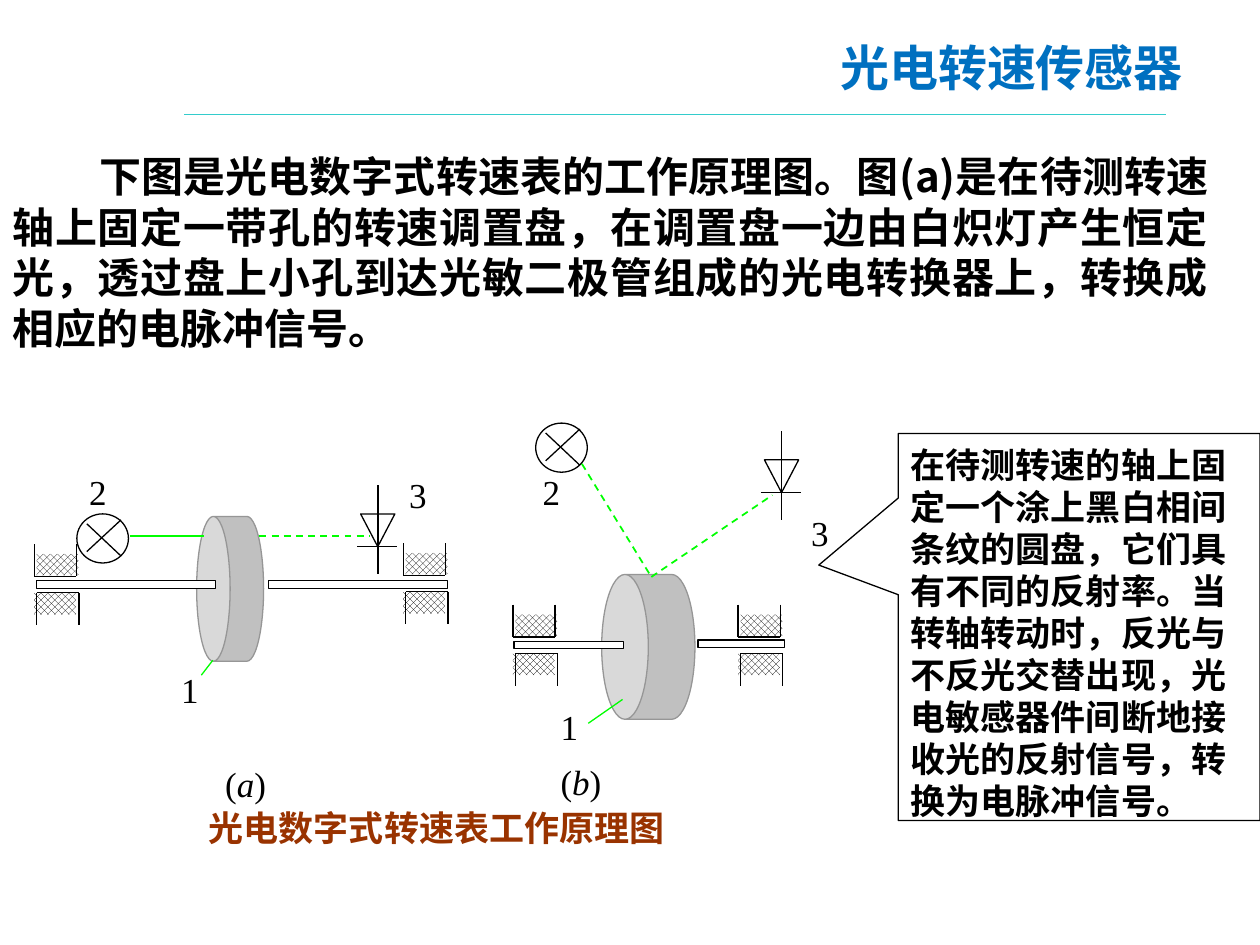
from dataclasses import dataclass

import pptx
import pptx.dml.color
import pptx.enum.dml
import pptx.enum.shapes
import pptx.enum.text
import pptx.oxml.ns
import pptx.oxml.xmlchemy
import pptx.util

Cm, Pt = pptx.util.Cm, pptx.util.Pt
RGBColor = pptx.dml.color.RGBColor
Shape = pptx.enum.shapes.MSO_SHAPE
Align = pptx.enum.text.PP_ALIGN
OxmlElement = pptx.oxml.xmlchemy.OxmlElement
qn = pptx.oxml.ns.qn

BLACK = RGBColor(0x00, 0x00, 0x00)
WHITE = RGBColor(0xFF, 0xFF, 0xFF)
DISC = RGBColor(0xC0, 0xC0, 0xC0)
DISC_EDGE = RGBColor(0x96, 0x96, 0x96)
LIGHT = RGBColor(0x00, 0xFF, 0x00)
RULE = RGBColor(0x33, 0xCC, 0xCC)
TITLE = RGBColor(0x00, 0x70, 0xC0)
CAPTION = RGBColor(0x99, 0x33, 0x00)
SANS, SERIF = "Noto Sans CJK SC", "Times New Roman"


@dataclass(frozen=True)
class Ray:
    x1: float
    y1: float
    x2: float
    y2: float
    width: float = 1
    dashed: bool = False


@dataclass(frozen=True)
class Label:
    text: str
    x: float
    y: float


@dataclass(frozen=True)
class Device:
    disc: tuple[float, float, float]
    shafts: tuple[tuple[float, float, float], ...]
    bearings: tuple[tuple[float, float], ...]
    lamp: tuple[float, float]
    diode: tuple[float, float]
    rays: tuple[Ray, ...]
    labels: tuple[Label, ...]


DEVICES = (
    Device(
        disc=(4.64, 11.87, 1.35),
        shafts=((0.74, 11.71, 3.61), (5.41, 11.71, 3.61)),
        bearings=((0.69, 10.97), (8.13, 10.95)),
        lamp=(1.55, 10.36),
        diode=(7.62, 9.78),
        rays=(Ray(2.62, 10.8, 4.11, 10.8), Ray(5.23, 10.8, 7.44, 10.8, dashed=True),
              Ray(4.06, 13.61, 4.29, 13.31, 0.75)),
        labels=(Label("2", 1.55, 9.37), Label("3", 8, 9.42),
                Label("1", 3.4, 13.36), Label("(a)", 4.29, 15.24)),
    ),
    Device(
        disc=(13.07, 13.04, 1.88),
        shafts=((10.36, 12.93, 2.21), (14.07, 12.9, 1.75)),
        bearings=((10.34, 12.19), (14.88, 12.19)),
        lamp=(10.8, 8.53),
        diode=(15.76, 8.69),
        rays=(Ray(11.73, 9.35, 13.13, 11.63, dashed=True),
              Ray(13.13, 11.63, 15.57, 9.98, dashed=True),
              Ray(11.86, 14.58, 12.55, 14.1, 0.75)),
        labels=(Label("2", 10.69, 9.37), Label("3", 16.1, 10.19),
                Label("1", 11.05, 14.1), Label("(b)", 11.05, 15.21)),
    ),
)


def add_line(s, x1: float, y1: float, x2: float, y2: float,
             color=BLACK, width: float = 0.75, dashed: bool = False) -> None:
    sp = s.shapes.add_connector(pptx.enum.shapes.MSO_CONNECTOR.STRAIGHT,
                                Cm(x1), Cm(y1), Cm(x2), Cm(y2))
    sp.line.color.rgb = color
    sp.line.width = Pt(width)
    if dashed:
        sp.line.dash_style = pptx.enum.dml.MSO_LINE.DASH
    sp._element.spPr.append(OxmlElement("a:effectLst"))


def add_solid(s, kind, x: float, y: float, w: float, h: float,
              fill=WHITE, edge=BLACK, rotation: float = 0):
    sp = s.shapes.add_shape(kind, Cm(x), Cm(y), Cm(w), Cm(h))
    sp.shadow.inherit = False
    sp.rotation = rotation
    sp.fill.solid()
    sp.fill.fore_color.rgb = fill
    sp.line.color.rgb = edge
    sp.line.width = Pt(0.75)
    return sp


def add_hatch(s, x: float, y: float) -> None:
    sp = add_solid(s, Shape.RECTANGLE, x, y, 0.84, 0.43)
    sp.fill.patterned()
    sp.fill.pattern = pptx.enum.dml.MSO_PATTERN.LARGE_CHECKER_BOARD
    sp.fill.fore_color.rgb = BLACK
    sp.fill.back_color.rgb = WHITE
    sp.line.fill.background()


def add_bearing(s, x: float, y: float) -> None:
    add_hatch(s, x + 0.05, y + 0.2)
    add_hatch(s, x, y + 0.99)
    for left, top, base in ((x, y, y + 0.65), (x + 0.05, y + 0.98, y + 0.98)):
        for wall in (left, left + 0.85):
            add_line(s, wall, top, wall, top + 0.65)
        add_line(s, left, base, left + 0.85, base)


def add_lamp(s, x: float, y: float) -> None:
    add_solid(s, Shape.OVAL, x, y, 1.04, 0.99)
    add_line(s, x + 0.89, y + 0.12, x + 0.2, y + 0.76)
    add_line(s, x + 0.2, y + 0.2, x + 0.89, y + 0.85)


def add_diode(s, x: float, y: float) -> None:
    add_solid(s, Shape.ISOSCELES_TRIANGLE, x - 0.35, y + 0.58, 0.69, 0.66, rotation=180)
    add_line(s, x - 0.42, y + 1.24, x + 0.39, y + 1.24)
    add_line(s, x, y, x, y + 1.8)


def add_run(p, text: str, size: float, font: str, color=BLACK,
            bold: bool = False, italic: bool = False) -> None:
    r = p.add_run()
    r.text = text
    r.font.size = Pt(size)
    r.font.name = font
    r.font.bold = bold
    r.font.italic = italic
    r.font.color.rgb = color
    ea = OxmlElement("a:ea")
    ea.set("typeface", SANS)
    r.font._element.find(qn("a:latin")).addnext(ea)


def add_box(s, x: float, y: float, w: float, h: float):
    tf = s.shapes.add_textbox(Cm(x), Cm(y), Cm(w), Cm(h)).text_frame
    tf.word_wrap = True
    return tf.paragraphs[0]


def add_label(s, label: Label) -> None:
    p = add_box(s, label.x, label.y, 1.63, 1.14)
    p.alignment = Align.JUSTIFY
    for char in label.text:
        add_run(p, char, 20, SERIF, italic=char.isalpha())


def add_device(s, device: Device) -> None:
    cx, cy, depth = device.disc
    can = add_solid(s, Shape.CAN, cx - 1.46, cy - depth / 2, 2.92, depth, DISC, DISC_EDGE, 270)
    can.adjustments[0] = 0.5
    for x, y, length in device.shafts:
        add_solid(s, Shape.RECTANGLE, x, y, length, 0.15)
    for x, y in device.bearings:
        add_bearing(s, x, y)
    add_lamp(s, *device.lamp)
    add_diode(s, *device.diode)
    for ray in device.rays:
        add_line(s, ray.x1, ray.y1, ray.x2, ray.y2, LIGHT, ray.width, ray.dashed)
    for label in device.labels:
        add_label(s, label)


def add_callout(s, text: str) -> None:
    sp = add_solid(s, Shape.RECTANGULAR_CALLOUT, 18.11, 8.74, 7.29, 7.8)
    sp.fill.background()
    sp.adjustments[0], sp.adjustments[1] = -0.72, -0.16
    tf = sp.text_frame
    tf.word_wrap = True
    tf.vertical_anchor = pptx.enum.text.MSO_ANCHOR.TOP
    tf.margin_top, tf.margin_bottom = Cm(0.2), Cm(0)
    p = tf.paragraphs[0]
    p.alignment = Align.LEFT
    p.line_spacing = Pt(24)
    add_run(p, text, 20, SANS, bold=True)


def main() -> None:
    """Build the slide on the photoelectric speed sensor."""
    prs = pptx.Presentation()
    prs.slide_width, prs.slide_height = Cm(25.4), Cm(19.05)
    s = prs.slides.add_slide(prs.slide_layouts[6])
    for device in DEVICES:
        add_device(s, device)
    p = add_box(s, 3.96, 16.13, 14.53, 1.14)
    p.line_spacing = Pt(24)
    add_run(p, "光电数字式转速表工作原理图", 20, SERIF, CAPTION, bold=True)
    p = add_box(s, 0, 2.9, 24.61, 4.52)
    p.alignment = Align.JUSTIFY
    p.line_spacing = Pt(29)
    p._p.get_or_add_pPr().set("indent", str(Cm(1.75)))
    add_run(p, "下图是光电数字式转速表的工作原理图。图(a)是在待测转速轴上固定一带孔的转速调置盘，"
               "在调置盘一边由白炽灯产生恒定光，透过盘上小孔到达光敏二极管组成的光电转换器上，"
               "转换成相应的电脉冲信号。", 24, SANS, bold=True)
    add_callout(s, "在待测转速的轴上固定一个涂上黑白相间条纹的圆盘，它们具有不同的反射率。"
                   "当转轴转动时，反光与不反光交替出现，光电敏感器件间断地接收光的反射信号，"
                   "转换为电脉冲信号。")
    add_line(s, 3.71, 2.31, 23.5, 2.31, RULE)
    p = add_box(s, 16.69, 0.33, 7.59, 1.75)
    p.line_spacing = Pt(42)
    add_run(p, "光电转速传感器", 28, SANS, TITLE, bold=True)
    prs.save("out.pptx")


if __name__ == "__main__":
    main()
